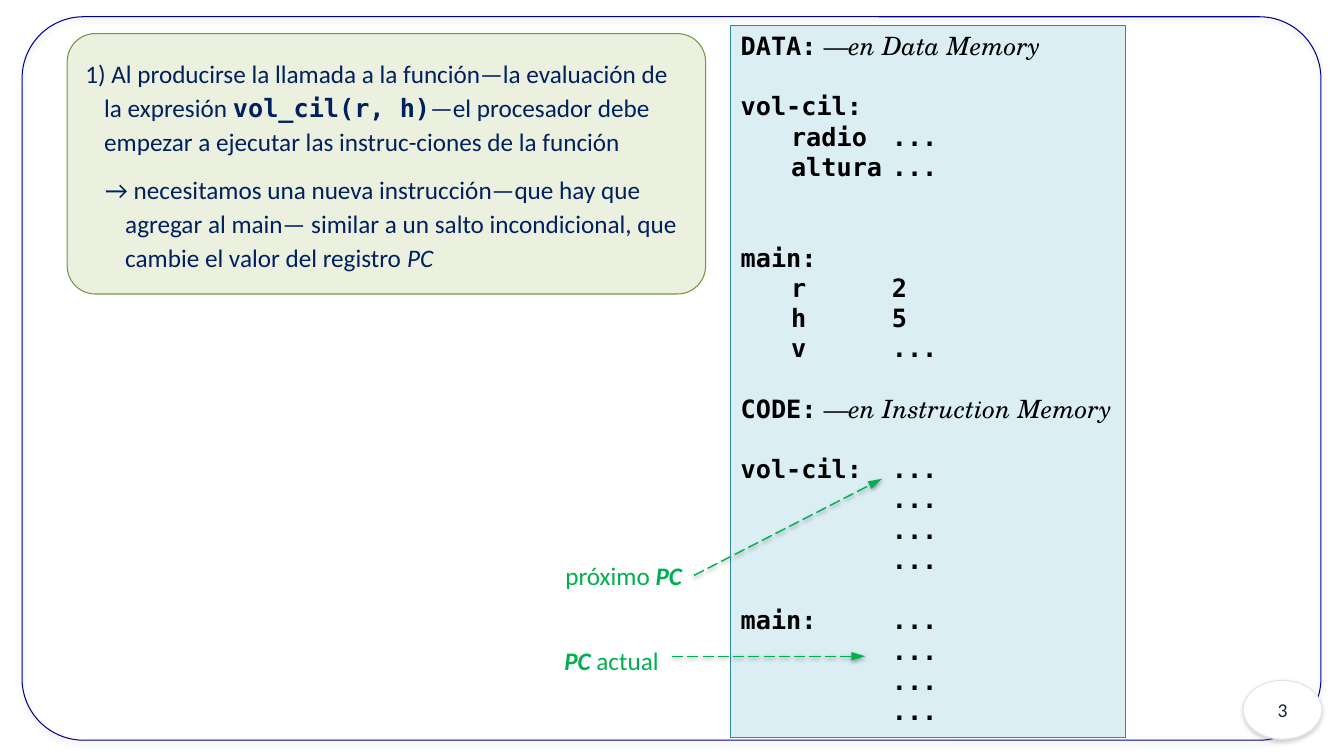
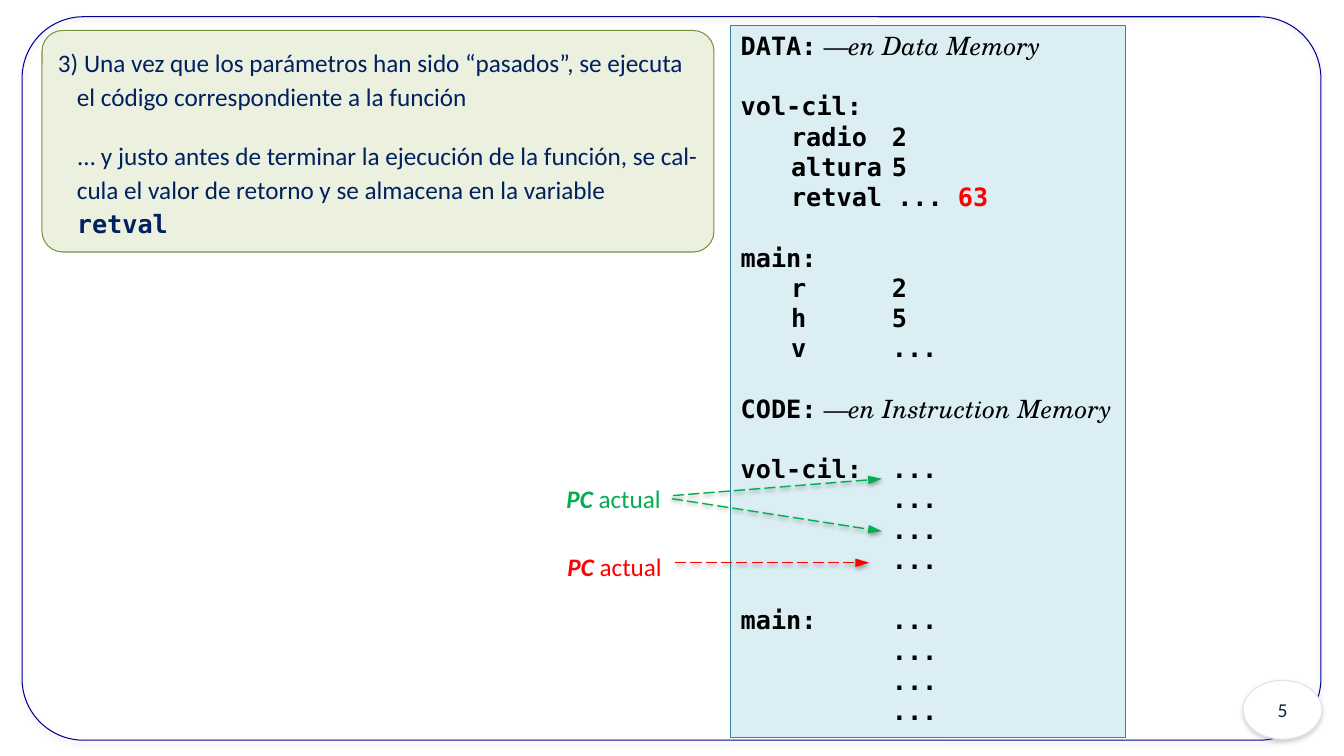
from pptx import Presentation
from pptx.dml.color import RGBColor
from pptx.enum.dml import MSO_LINE
from pptx.enum.shapes import MSO_CONNECTOR, MSO_SHAPE
from pptx.enum.text import MSO_ANCHOR, MSO_AUTO_SIZE, PP_ALIGN
from pptx.oxml import parse_xml
from pptx.oxml.ns import nsdecls
from pptx.util import Pt

PX = 9525
ROUND, OVAL, RECT = MSO_SHAPE.ROUNDED_RECTANGLE, MSO_SHAPE.OVAL, MSO_SHAPE.RECTANGLE
STRAIGHT, DASHED = MSO_CONNECTOR.STRAIGHT, MSO_LINE.LONG_DASH
TOP, MIDDLE = MSO_ANCHOR.TOP, MSO_ANCHOR.MIDDLE
LEFT, CENTER = PP_ALIGN.LEFT, PP_ALIGN.CENTER
FIT = MSO_AUTO_SIZE.SHAPE_TO_FIT_TEXT

WHITE = RGBColor(0xFF, 0xFF, 0xFF)
BLACK = RGBColor(0x00, 0x00, 0x00)
BLUE = RGBColor(0x00, 0x00, 0x90)
PALE = RGBColor(0xDC, 0xE6, 0xF2)
SLATE = RGBColor(0x10, 0x25, 0x3F)
NAVY = RGBColor(0x00, 0x20, 0x60)
CREAM = RGBColor(0xEB, 0xF1, 0xDE)
OLIVE = RGBColor(0x77, 0x93, 0x3C)
SKY = RGBColor(0xDB, 0xEE, 0xF4)
TEAL = RGBColor(0x31, 0x85, 0x9C)
GREEN = RGBColor(0x00, 0xB0, 0x50)
RED = RGBColor(0xFF, 0x00, 0x00)

# Text styles: font, bold, italic
BODY = ("Calibri", False, False)
SLANT = ("Calibri", False, True)
TERM = ("Calibri", True, True)
CODE = ("DejaVu Sans Mono", True, False)
DASH = ("TeX Gyre Schola", False, False)
ASIDE = ("TeX Gyre Schola", False, True)

ROW = 21.6  # height of a listing line, in points
STOPS = (48, 144)
SHADE = (
    '<a:effectLst {ns}><a:outerShdw blurRad="40000" dist="{dist}" dir="5400000" '
    'rotWithShape="0"><a:srgbClr val="{color}"><a:alpha val="{alpha}"/></a:srgbClr>'
    '</a:outerShdw></a:effectLst>'
)
SOFT = SHADE.format(ns=nsdecls("a"), dist=23000, color="808080", alpha=35000)
DARK = SHADE.format(ns=nsdecls("a"), dist=20000, color="000000", alpha=38000)
HEAD = f'<a:tailEnd {nsdecls("a")} type="triangle" w="med" len="lg"/>'
TABS = "".join(f'<a:tab pos="{stop * PX}" algn="l"/>' for stop in STOPS)
TABS = f'<a:tabLst {nsdecls("a")}>{TABS}</a:tabLst>'


def add_box(slide, kind, place, fill, line, shade=None, adjust=None):
    box = slide.shapes.add_shape(kind, *[n * PX for n in place])
    if fill is None:
        box.fill.background()
    else:
        box.fill.solid()
        box.fill.fore_color.rgb = fill
    if line is None:
        box.line.fill.background()
    else:
        box.line.color.rgb = line
        box.line.width = Pt(0.75)
    if shade is None:
        box.shadow.inherit = False
    else:
        box._element.spPr.append(parse_xml(shade))
    if adjust is not None:
        box.adjustments[0] = adjust
    return box


def write(para, color, runs, size=18):
    """Add runs of (text, style) or (text, style, own colour)."""
    for text, style, *own in runs:
        run = para.add_run()
        run.text = text
        font = run.font
        font.name, font.bold, font.italic = style
        font.size = Pt(size)
        font.color.rgb = own[0] if own else color


ACTUAL = [("PC", TERM), (" actual", BODY)]
DOTS = ["\t\t..."] * 3
MAIN = ["main:", "\tr\t2", "\th\t5", "\tv\t..."]

# Notes: paragraphs of margin, indent, space before, runs.
# Labels: place, colour, runs, arrows; a start of None is the label's right side.
PAGES = [
    {
        "number": "3",
        "place": (64, 32, 608, 248),
        "corner": 0.108,
        "note": [
            (18, -18, 0, [
                ("1) Al producirse la llamada a la función—la evaluación de la expresión ", BODY),
                ("vol_cil(r, h)", CODE),
                ("—el procesador debe empezar a ejecutar las instruc-ciones de la función", BODY),
            ]),
            (38, -19, 10.5, [
                ("→ necesitamos una nueva instrucción—que hay que agregar al main— "
                 "similar a un salto incondicional, que cambie el valor del registro ", BODY),
                ("PC", SLANT),
            ]),
        ],
        "data": [["\tradio\t..."], ["\taltura\t..."]],
        "gap": 2,
        "labels": [
            ((528, 610, 110, 38), GREEN, ACTUAL, [((640, 625), (824, 625))]),
            ((529, 529, 132, 38), GREEN, [("próximo ", BODY), ("PC", TERM)],
             [(None, (840, 456))]),
        ],
    },
    {
        "number": "5",
        "place": (40, 29, 640, 211),
        "corner": 0.094,
        "note": [
            (18, -18, 0, [
                ("3) Una vez que los parámetros han sido “pasados”, se ejecuta "
                 "el código correspondiente a la función", BODY),
            ]),
            (18, 1, 18, [
                ("… y justo antes de terminar la ejecución de la función, se cal-cula "
                 "el valor de retorno y se almacena en la variable ", BODY),
                ("retval", CODE),
            ]),
        ],
        "data": [["\tradio\t2"], ["\taltura\t5"], ["\tretval ... ", "63"]],
        "gap": 1,
        "labels": [
            ((530, 456, 110, 38), GREEN, ACTUAL,
             [((641, 472), (840, 456)), (None, (840, 506))]),
            ((531, 520, 110, 38), RED, ACTUAL, [((643, 536), (828, 536))]),
        ],
    },
]

deck = Presentation()
deck.slide_width, deck.slide_height = 1280 * PX, 720 * PX

for page in PAGES:
    slide = deck.slides.add_slide(deck.slide_layouts[6])

    add_box(slide, ROUND, (21, 16, 1237, 689), None, BLUE, SOFT, 0.085)
    badge = add_box(slide, OVAL, (1184, 648, 75, 56), WHITE, PALE, SOFT)
    badge.text_frame.vertical_anchor = MIDDLE
    para = badge.text_frame.paragraphs[0]
    para.alignment = CENTER
    write(para, SLATE, [(page["number"], BODY)], 14)

    note = add_box(slide, ROUND, page["place"], CREAM, OLIVE, None, page["corner"])
    frame = note.text_frame
    frame.word_wrap = True
    frame.vertical_anchor = MIDDLE
    for i, (margin, indent, before, runs) in enumerate(page["note"]):
        para = frame.add_paragraph() if i else frame.paragraphs[0]
        para.alignment = LEFT
        para.line_spacing = 1.12
        para.space_before = Pt(before)
        props = para._p.get_or_add_pPr()
        props.set("marL", str(margin * PX))
        props.set("indent", str(indent * PX))
        write(para, NAVY, runs)

    # Listing: blocks of blank rows above and lines of runs
    blocks = [
        (0, [[("DATA:", CODE), (" —", DASH), ("en Data Memory", ASIDE)]]),
        (1, [[("vol-cil:", CODE)]] + [
            [(text, CODE, color) for text, color in zip(line, (BLACK, RED))]
            for line in page["data"]]),
        (page["gap"], [[(text, CODE)] for text in MAIN]),
        (1, [[("CODE:", CODE), (" —", DASH), ("en Instruction Memory", ASIDE)]]),
    ]
    for name in ("vol-cil:", "main:"):
        blocks.append((1, [[(text, CODE)] for text in [name + "\t..."] + DOTS]))

    memory = add_box(slide, RECT, (696, 24, 376, 678), SKY, TEAL)
    frame = memory.text_frame
    frame.word_wrap = True
    frame.vertical_anchor = TOP
    para = frame.paragraphs[0]
    for gap, lines in blocks:
        for i, runs in enumerate(lines):
            if gap or i:
                para = frame.add_paragraph()
            para.alignment = LEFT
            para.line_spacing = Pt(ROW)
            para.space_before = Pt(0 if i else gap * ROW)
            para._p.get_or_add_pPr().append(parse_xml(TABS))
            write(para, BLACK, runs)

    for place, color, runs, arrows in page["labels"]:
        label = add_box(slide, RECT, place, WHITE, None)
        frame = label.text_frame
        frame.word_wrap = False
        frame.auto_size = FIT
        frame.vertical_anchor = TOP
        frame.paragraphs[0].alignment = LEFT
        write(frame.paragraphs[0], color, runs)
        for start, end in arrows:
            ends = [n * PX for n in (start or end) + end]
            arrow = slide.shapes.add_connector(STRAIGHT, *ends)
            if start is None:
                arrow.begin_connect(label, 3)
            arrow.line.color.rgb = color
            arrow.line.width = Pt(1)
            arrow.line.dash_style = DASHED
            arrow.line._ln.append(parse_xml(HEAD))
            arrow._element.spPr.append(parse_xml(DARK))

deck.save("out.pptx")
